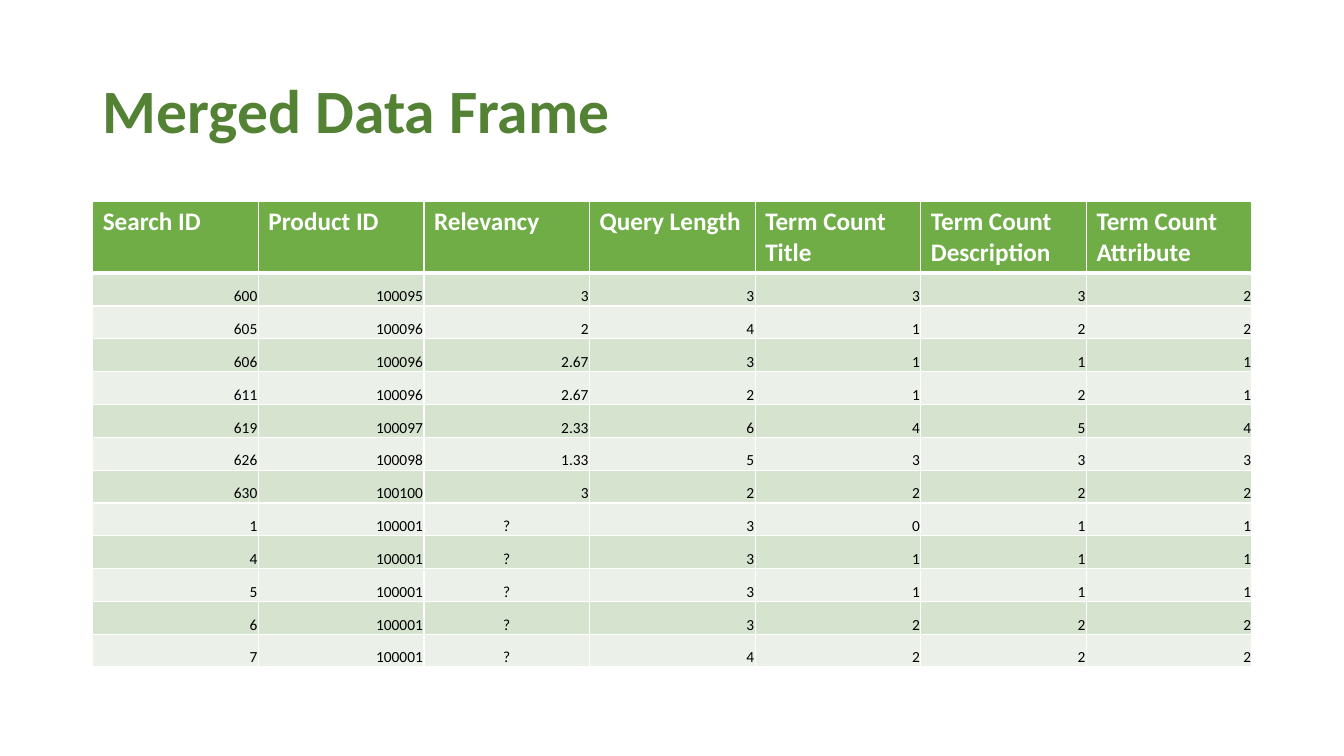
from lxml.etree import SubElement
from pptx import Presentation
from pptx.dml.color import RGBColor
from pptx.enum.text import MSO_ANCHOR, PP_ALIGN
from pptx.oxml.ns import qn
from pptx.util import Inches, Pt


def rgb(color):
    return RGBColor.from_string(color)


def write(tf, text, size, color, bold=False, align=PP_ALIGN.LEFT, spacing=1.0):
    p = tf.paragraphs[0]
    p.alignment = align
    p.line_spacing = spacing
    r = p.add_run()
    r.text = text
    r.font.name = "Calibri"
    r.font.size = Pt(size)
    r.font.bold = bold
    r.font.color.rgb = rgb(color)


rows = [
    ["Search ID", "Product ID", "Relevancy", "Query Length",
     "Term Count Title", "Term Count Description", "Term Count Attribute"],
    ["600", "100095", "3", "3", "3", "3", "2"],
    ["605", "100096", "2", "4", "1", "2", "2"],
    ["606", "100096", "2.67", "3", "1", "1", "1"],
    ["611", "100096", "2.67", "2", "1", "2", "1"],
    ["619", "100097", "2.33", "6", "4", "5", "4"],
    ["626", "100098", "1.33", "5", "3", "3", "3"],
    ["630", "100100", "3", "2", "2", "2", "2"],
    ["1", "100001", "?", "3", "0", "1", "1"],
    ["4", "100001", "?", "3", "1", "1", "1"],
    ["5", "100001", "?", "3", "1", "1", "1"],
    ["6", "100001", "?", "3", "2", "2", "2"],
    ["7", "100001", "?", "4", "2", "2", "2"],
]
table_width, table_height, header_height = 11.5, 4.61, 0.7

prs = Presentation()
prs.slide_width, prs.slide_height = Inches(13.33), Inches(7.5)
s = prs.slides.add_slide(prs.slide_layouts[5])

title = s.shapes.title
title.left, title.top = Inches(0.92), Inches(0.4)
title.width, title.height = Inches(10.87), Inches(1.45)
title.text_frame.vertical_anchor = MSO_ANCHOR.MIDDLE
write(title.text_frame, "Merged Data Frame", 44, "548235", bold=True, spacing=0.9)

table = s.shapes.add_table(len(rows), len(rows[0]), Inches(0.92), Inches(2),
                           Inches(table_width), Inches(table_height)).table
for col in table.columns:
    col.width = Inches(table_width / len(rows[0]))

for i, values in enumerate(rows):
    header = i == 0
    body_height = (table_height - header_height) / (len(rows) - 1)
    table.rows[i].height = Inches(header_height if header else body_height)
    for j, text in enumerate(values):
        cell = table.cell(i, j)
        tcPr = cell._tc.get_or_add_tcPr()
        for side in ("L", "R", "T", "B"):
            thick = (i, side) in ((0, "B"), (1, "T"))
            ln = SubElement(tcPr, qn(f"a:ln{side}"), w=str(Pt(3 if thick else 1)))
            line_fill = SubElement(ln, qn("a:solidFill"))
            SubElement(line_fill, qn("a:srgbClr"), val="FFFFFF")
        cell.fill.solid()
        if header:
            cell.fill.fore_color.rgb = rgb("70AD47")
            write(cell.text_frame, text, 18, "FFFFFF", bold=True)
        else:
            cell.fill.fore_color.rgb = rgb("D5E3CF" if i % 2 else "EBF1E9")
            cell.vertical_anchor = MSO_ANCHOR.BOTTOM
            cell.margin_left = cell.margin_right = cell.margin_top = Inches(0.01)
            cell.margin_bottom = 0
            align = PP_ALIGN.CENTER if text == "?" else PP_ALIGN.RIGHT
            write(cell.text_frame, text, 11, "000000", align=align)

prs.save("out.pptx")
